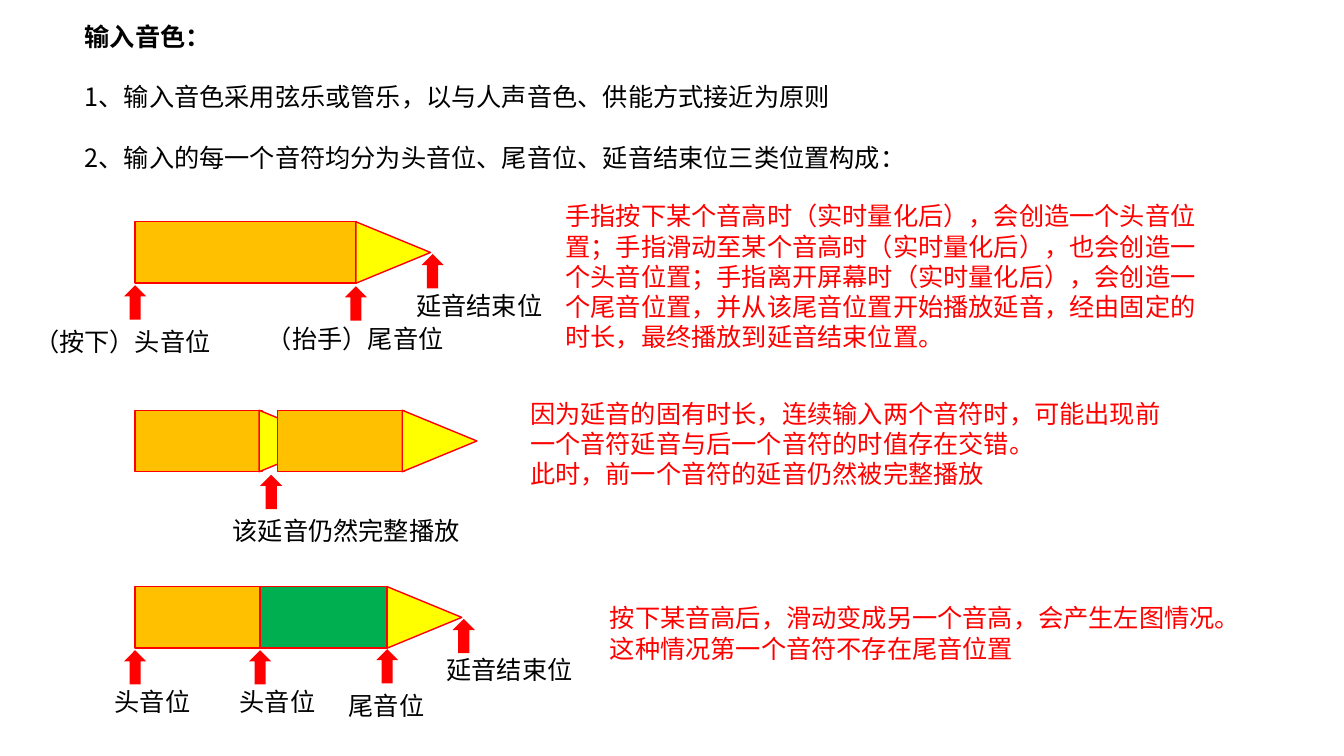
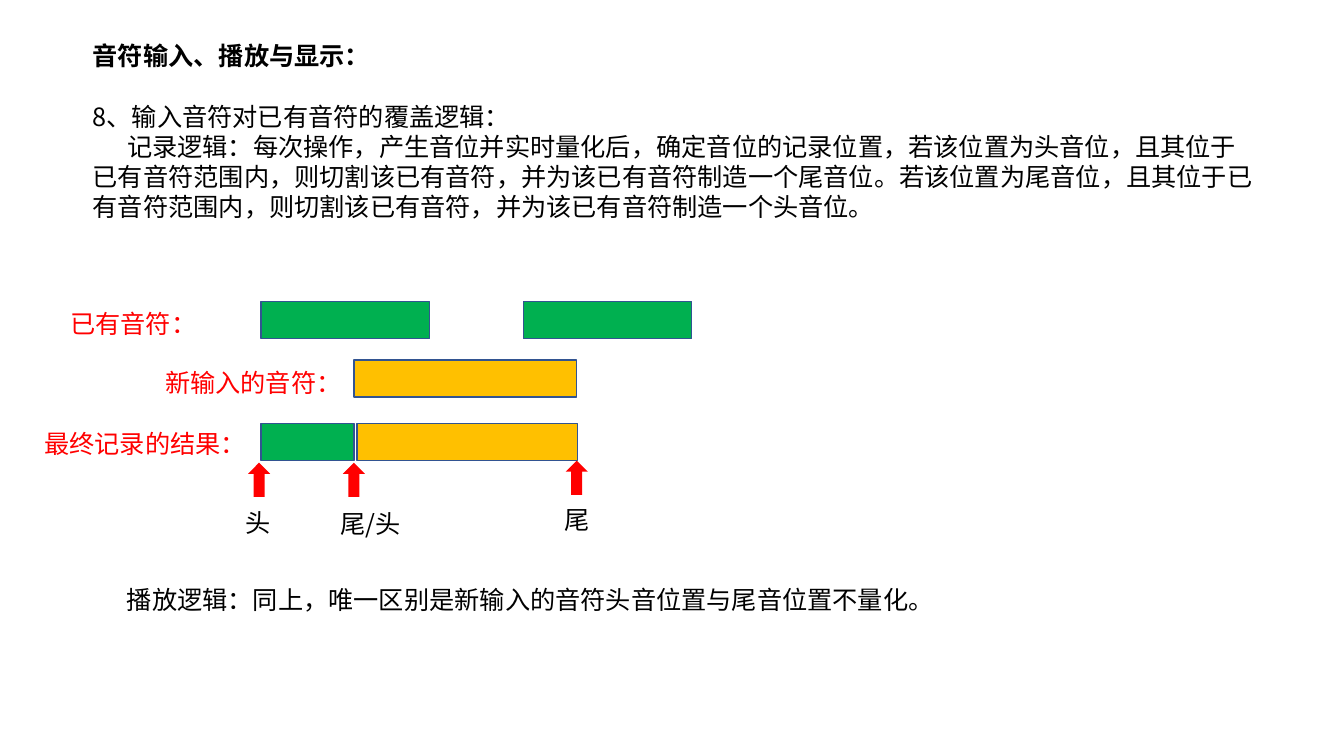
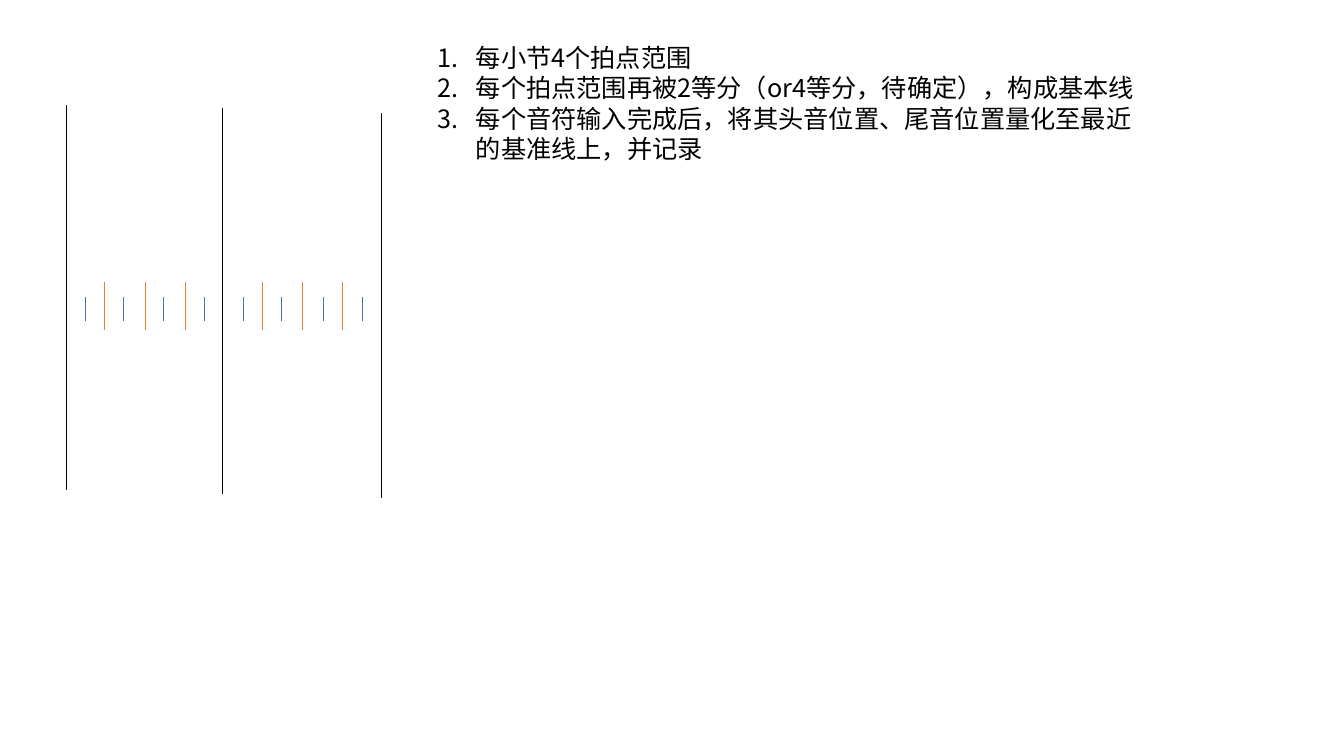
from lxml import etree
from pptx import Presentation
from pptx.dml.color import RGBColor
from pptx.enum.shapes import MSO_CONNECTOR, MSO_SHAPE
from pptx.enum.text import MSO_ANCHOR, MSO_AUTO_SIZE, PP_ALIGN
from pptx.oxml.ns import qn
from pptx.util import Inches, Pt

RECT, TRIANGLE, ARROW = MSO_SHAPE.RECTANGLE, MSO_SHAPE.ISOSCELES_TRIANGLE, MSO_SHAPE.RIGHT_ARROW
STRAIGHT = MSO_CONNECTOR.STRAIGHT
TOP, LEFT, NO_FIT = MSO_ANCHOR.TOP, PP_ALIGN.LEFT, MSO_AUTO_SIZE.NONE

BLACK = RGBColor(0x00, 0x00, 0x00)
RED = RGBColor(0xFF, 0x00, 0x00)
AMBER = RGBColor(0xFF, 0xC0, 0x00)
YELLOW = RGBColor(0xFF, 0xFF, 0x00)
GREEN = RGBColor(0x00, 0xB0, 0x50)
NAVY = RGBColor(0x32, 0x54, 0x91)
BLUE = RGBColor(0x44, 0x72, 0xC4)
ORANGE = RGBColor(0xED, 0x7D, 0x31)
FONT = "Noto Sans CJK SC"
LINE_PITCH = Pt(21.6)
CHAR_WIDTH = 0.25
ARROW_W, ARROW_H = 0.34, 0.22
TIP_W, TIP_H = 0.61, 0.74


def write_text(shape, box, lines, color=BLACK, bold=False, wrap=True,
               gap=0, indents=(), numbered=False):
    """Place a text shape and fill it with one paragraph per line."""
    shape.left, shape.top, shape.width, shape.height = map(Inches, box)
    frame = shape.text_frame
    frame.auto_size, frame.word_wrap, frame.vertical_anchor = NO_FIT, wrap, TOP
    frame.margin_left = frame.margin_right = Inches(0.1)
    frame.margin_top, frame.margin_bottom = Inches(0.07), Inches(0.03)
    frame.text = "\n".join(lines)
    for index, paragraph in enumerate(frame.paragraphs):
        paragraph.alignment = LEFT
        paragraph.line_spacing = LINE_PITCH
        paragraph.space_before, paragraph.space_after = Pt(0), Pt(gap)
        props = paragraph._p.get_or_add_pPr()
        first_line = -0.38 if numbered else indents[index] if indents else 0
        props.set("marL", str(Inches(0.38) if numbered else 0))
        props.set("indent", str(Inches(first_line)))
        if numbered:
            etree.SubElement(props, qn("a:buAutoNum"), type="arabicPeriod")
        else:
            etree.SubElement(props, qn("a:buNone"))
        for run in paragraph.runs:
            run.font.size, run.font.bold, run.font.name = Pt(18), bold, FONT
            run.font.color.rgb = color
            etree.SubElement(run._r.get_or_add_rPr(), qn("a:ea"), typeface=FONT)


def add_block(slide, kind, box, fill, outline=None, rotation=0):
    """Draw a flat preset shape."""
    block = slide.shapes.add_shape(kind, *map(Inches, box))
    block.shadow.inherit = False
    block.rotation = rotation
    block.fill.solid()
    block.fill.fore_color.rgb = fill
    if outline is None:
        block.line.fill.background()
    else:
        block.line.color.rgb = outline
        block.line.width = Pt(1)


prs = Presentation()
prs.slide_width, prs.slide_height = Inches(13.33), Inches(7.5)
content_layout = prs.slide_layouts[1]

# Slide 1: heading and rules
timbre = prs.slides.add_slide(content_layout)
write_text(timbre.shapes.title, (0.74, 0.14, 9.45, 0.4), ["输入音色："], bold=True)
write_text(timbre.placeholders[1], (0.74, 0.74, 9.45, 1.02), [
    "1、输入音色采用弦乐或管乐，以与人声音色、供能方式接近为原则",
    "2、输入的每一个音符均分为头音位、尾音位、延音结束位三类位置构成：",
], gap=21.6)

# Slide 1: notes as bars, some ending in a sustain tip: left, top, width, fill, tip start
for left, top, width, fill, tip in [
    (1.34, 2.2, 2.19, AMBER, 3.53),
    (1.34, 4.07, 1.26, AMBER, 2.57),
    (2.75, 4.07, 1.26, AMBER, 3.99),
    (1.34, 5.82, 1.26, AMBER, None),
    (2.58, 5.82, 1.26, GREEN, 3.84),
]:
    add_block(timbre, RECT, (left, top, width, TIP_W), fill, RED)
    if tip:
        shift = (TIP_H - TIP_W) / 2
        add_block(timbre, TRIANGLE, (tip + shift, top - shift, TIP_W, TIP_H), YELLOW, RED, 90)

# Slide 1: explanations
for left, top, height, lines in [
    (5.51, 1.92, 1.62, [
        "手指按下某个音高时（实时量化后），会创造一个头音位置；手指滑动至某个音高时"
        "（实时量化后），也会创造一个头音位置；手指离开屏幕时（实时量化后），会创造一个"
        "尾音位置，并从该尾音位置开始播放延音，经由固定的时长，最终播放到延音结束位置。"]),
    (5.16, 3.88, 1.01, [
        "因为延音的固有时长，连续输入两个音符时，可能出现前一个音符延音与后一个音符的时值存在交错。",
        "此时，前一个音符的延音仍然被完整播放"]),
    (5.95, 5.91, 0.71, [
        "按下某音高后，滑动变成另一个音高，会产生左图情况。",
        "这种情况第一个音符不存在尾音位置"]),
]:
    explanation = timbre.shapes.add_textbox(0, 0, 0, 0)
    write_text(explanation, (left, top, 6.46, height), lines, color=RED)

# Slide 2: heading and logic
overlay = prs.slides.add_slide(content_layout)
write_text(overlay.shapes.title, (0.82, 0.33, 11.78, 0.4), ["音符输入、播放与显示："], bold=True)
write_text(overlay.placeholders[1], (0.82, 0.93, 11.78, 1.32), [
    "8、输入音符对已有音符的覆盖逻辑：",
    "记录逻辑：每次操作，产生音位并实时量化后，确定音位的记录位置，若该位置为头音位，"
    "且其位于已有音符范围内，则切割该已有音符，并为该已有音符制造一个尾音位。"
    "若该位置为尾音位，且其位于已有音符范围内，则切割该已有音符，并为该已有音符制造一个头音位。",
], indents=(0, 0.34))
playback = overlay.shapes.add_textbox(0, 0, 0, 0)
write_text(playback, (0.82, 5.73, 11.78, 0.4),
           ["播放逻辑：同上，唯一区别是新输入的音符头音位置与尾音位置不量化。"], indents=(0.34,))

# Slide 2: existing, new and recorded notes
for left, top, width, fill in [
    (2.59, 2.99, 1.67, GREEN),
    (5.19, 2.99, 1.67, GREEN),
    (3.51, 3.57, 2.21, AMBER),
    (2.59, 4.2, 0.92, GREEN),
    (3.54, 4.2, 2.19, AMBER),
]:
    add_block(overlay, RECT, (left, top, width, 0.37), fill, NAVY)

# Position arrows of both diagrams
for slide, corners in [
    (timbre, [(1.17, 2.89), (3.36, 2.9), (4.12, 2.58), (2.52, 4.77),
              (1.17, 6.51), (2.41, 6.51), (3.67, 6.5), (4.43, 6.2)]),
    (overlay, [(2.4, 4.65), (3.34, 4.65), (5.55, 4.63)]),
]:
    for left, top in corners:
        add_block(slide, ARROW, (left, top, ARROW_W, ARROW_H), RED, rotation=270)

# One-line labels of both diagrams
for slide, color, labels in [
    (timbre, BLACK, [
        (0.24, 3.17, "（按下）头音位"), (2.55, 3.14, "（抬手）尾音位"),
        (4.03, 2.81, "延音结束位"), (2.21, 5.04, "该延音仍然完整播放"),
        (1.04, 6.74, "头音位"), (2.28, 6.74, "头音位"),
        (3.36, 6.78, "尾音位"), (4.33, 6.42, "延音结束位")]),
    (overlay, RED, [
        (0.6, 2.99, "已有音符："), (1.54, 3.57, "新输入的音符："),
        (0.34, 4.18, "最终记录的结果：")]),
    (overlay, BLACK, [(2.34, 4.96, "头"), (5.5, 4.93, "尾")]),
]:
    for left, top, words in labels:
        label = slide.shapes.add_textbox(0, 0, 0, 0)
        width = 0.21 + CHAR_WIDTH * len(words)
        write_text(label, (left, top, width, 0.4), [words], color=color, wrap=False)
tail_head = overlay.shapes.add_textbox(0, 0, 0, 0)
write_text(tail_head, (3.28, 4.97, 0.8, 0.71), ["尾/头"])

# Slide 3: quantising rules
grid = prs.slides.add_slide(content_layout)
unused_title = grid.shapes.title.element
unused_title.getparent().remove(unused_title)
write_text(grid.placeholders[1], (4.24, 0.35, 7.32, 2.22), [
    "每小节4个拍点范围",
    "每个拍点范围再被2等分（or4等分，待确定），构成基本线",
    "每个音符输入完成后，将其头音位置、尾音位置量化至最近的基准线上，并记录",
], numbered=True)

# Slide 3: measure lines, beat lines and half-beat lines
for color, top, bottom, positions in [
    (BLACK, 1.04, 4.86, [0.66]),
    (BLACK, 1.07, 4.9, [2.21]),
    (BLACK, 1.12, 4.94, [3.78]),
    (ORANGE, 2.8, 3.27, [1.04, 1.44, 1.84, 2.6, 3, 3.4]),
    (BLUE, 2.95, 3.18, [0.85, 1.22, 1.62, 2.03, 2.41, 2.79, 3.21, 3.59]),
]:
    for x in positions:
        tick = grid.shapes.add_connector(STRAIGHT, *map(Inches, (x, top, x, bottom)))
        tick.line.color.rgb = color
        tick.line.width = Pt(0.5)
        etree.SubElement(tick._element.spPr, qn("a:effectLst"))

prs.save("out.pptx")
